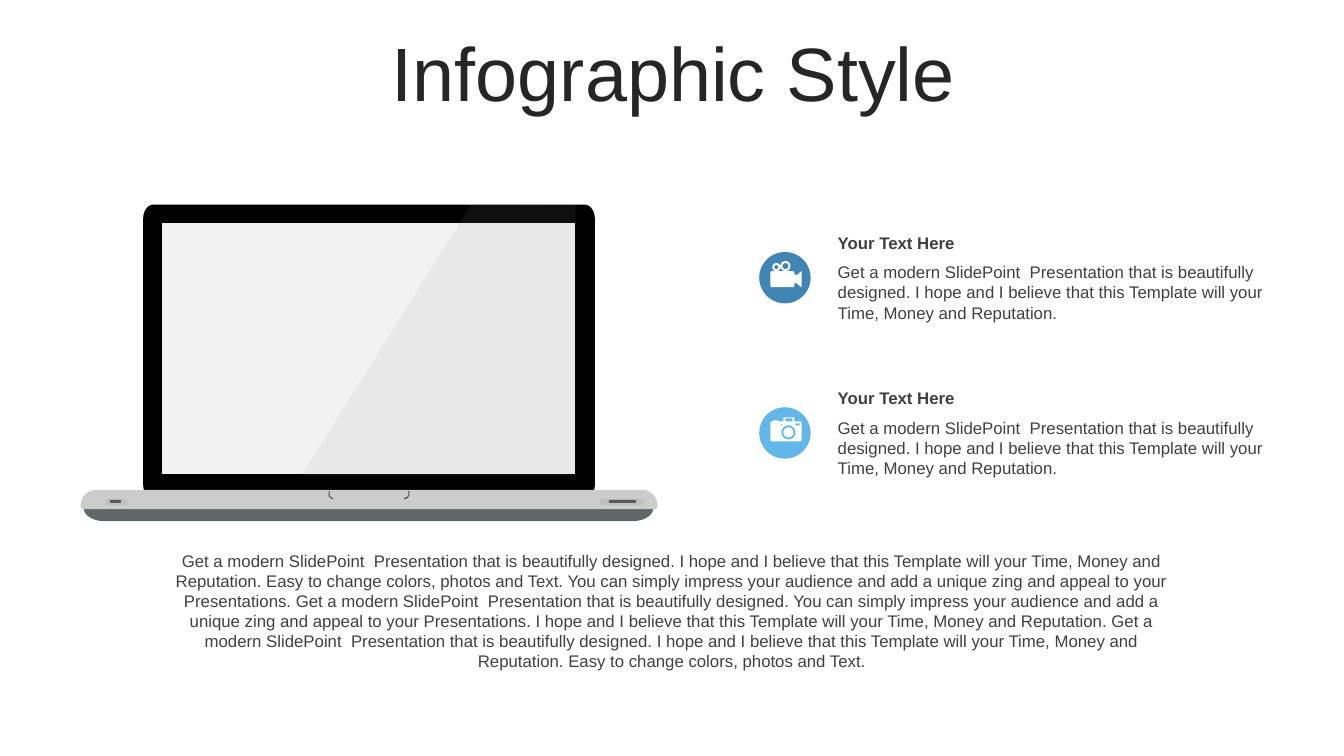
from dataclasses import dataclass
from math import cos, pi, sin

from lxml.etree import SubElement
from pptx import Presentation
from pptx.dml.color import RGBColor
from pptx.enum.shapes import MSO_SHAPE
from pptx.enum.text import MSO_ANCHOR, MSO_AUTO_SIZE, PP_ALIGN
from pptx.oxml.ns import qn
from pptx.util import Inches, Pt

COLORS = {
    "title": "262626", "text": "404040", "white": "FFFFFF",
    "lid": "000000", "screen": "F2F2F2", "glare": "999999",
    "base": "CCCCCC", "underside": "5F6767", "notch": "4D4D4D",
    "port": "BFBFBF", "slot": "595959",
    "blue": "4185B5", "sky": "62B7E8",
}
FONT = "Arial"

Contour = list[tuple[float, float]]
Radii = tuple[float, float]
SQUARE: Radii = (0, 0)


def arc(cx: float, cy: float, rx: float, ry: float, start: float, sweep: float, steps: int) -> Contour:
    """Points along an ellipse, angles in degrees, clockwise on the slide."""
    angles = [(start + sweep * i / steps) * pi / 180 for i in range(steps + 1)]
    return [(cx + rx * cos(a), cy + ry * sin(a)) for a in angles]


def circle(cx: float, cy: float, radius: float) -> Contour:
    return arc(cx, cy, radius, radius, 0, 360, 32)[:-1]


def box(left: float, top: float, right: float, bottom: float,
        upper: Radii = SQUARE, lower: Radii = SQUARE) -> Contour:
    """Rectangle whose upper and lower corner pairs may be rounded."""
    (ux, uy), (lx, ly) = upper, lower
    corners = [
        (left + ux, top + uy, ux, uy, 180), (right - ux, top + uy, ux, uy, 270),
        (right - lx, bottom - ly, lx, ly, 0), (left + lx, bottom - ly, lx, ly, 90),
    ]
    points: Contour = []
    for cx, cy, rx, ry, start in corners:
        points += arc(cx, cy, rx, ry, start, 90, 8) if rx else [(cx, cy)]
    return points


@dataclass
class Outline:
    color: str
    contours: list[Contour]
    opacity: int = 100


@dataclass
class Preset:
    kind: MSO_SHAPE
    left: float
    top: float
    width: float
    height: float
    color: str


@dataclass
class Label:
    text: str
    left: float
    top: float
    width: float
    height: float
    size: int = 12
    color: str = "text"
    bold: bool = False
    align: PP_ALIGN = PP_ALIGN.LEFT
    anchor: MSO_ANCHOR = MSO_ANCHOR.TOP
    line_spacing: float = 1.0


def paint(sp, color: str) -> None:
    sp.shadow.inherit = False
    sp.fill.solid()
    sp.fill.fore_color.rgb = RGBColor.from_string(COLORS[color])
    sp.line.fill.background()


def add_outline(s, outline: Outline) -> None:
    builder = None
    for contour in outline.contours:
        first, *rest = [(Inches(x), Inches(y)) for x, y in contour]
        if builder is None:
            builder = s.shapes.build_freeform(*first, scale=1.0)
        else:
            builder.move_to(*first)
        builder.add_line_segments(rest, close=True)
    sp = builder.convert_to_shape()
    paint(sp, outline.color)
    if outline.opacity < 100:
        rgb = sp.element.spPr.find(qn("a:solidFill")).find(qn("a:srgbClr"))
        SubElement(rgb, qn("a:alpha")).set("val", str(outline.opacity * 1000))


def add_preset(s, preset: Preset) -> None:
    sp = s.shapes.add_shape(preset.kind, Inches(preset.left), Inches(preset.top),
                            Inches(preset.width), Inches(preset.height))
    if preset.kind == MSO_SHAPE.ROUNDED_RECTANGLE:
        sp.adjustments[0] = 0.28
    paint(sp, preset.color)


def add_label(s, label: Label) -> None:
    sp = s.shapes.add_textbox(Inches(label.left), Inches(label.top),
                              Inches(label.width), Inches(label.height))
    tf = sp.text_frame
    tf.word_wrap = True
    tf.auto_size = MSO_AUTO_SIZE.NONE
    tf.vertical_anchor = label.anchor
    p = tf.paragraphs[0]
    p.alignment = label.align
    p.line_spacing = label.line_spacing
    r = p.add_run()
    r.text = label.text
    r.font.name = FONT
    r.font.size = Pt(label.size)
    r.font.bold = label.bold
    r.font.color.rgb = RGBColor.from_string(COLORS[label.color])


LAPTOP = [
    Outline("underside", [box(0.83, 5.0, 6.48, 5.17, lower=(0.2, 0.13))]),
    Outline("lid", [box(1.42, 2.03, 5.9, 4.94, (0.1, 0.14), (0.1, 0.13))]),
    Outline("screen", [box(1.61, 2.21, 5.7, 4.7)]),
    Outline("base", [box(0.8, 4.86, 6.52, 5.05, (0.15, 0.15), (0.03, 0.02))]),
    Outline("notch", [
        [(3.26, 4.87), (3.27, 4.87), (3.27, 4.92), (3.31, 4.95), (3.29, 4.95), (3.26, 4.92)],
        [(4.05, 4.87), (4.06, 4.87), (4.06, 4.92), (4.03, 4.95), (4.0, 4.95), (4.05, 4.92)],
    ]),
]
PORTS = [Preset(MSO_SHAPE.ROUNDED_RECTANGLE, *place) for place in (
    (1.05, 4.95, 0.21, 0.06, "port"), (1.09, 4.96, 0.11, 0.03, "slot"),
    (5.95, 4.95, 0.44, 0.06, "port"), (6.04, 4.96, 0.27, 0.03, "slot"),
)]
GLARE = Outline("glare", [[(4.68, 2.02), (5.71, 2.03), (5.71, 4.72), (2.99, 4.72)]], 10)

CAMCORDER = Outline("white", [
    box(7.64, 2.69, 7.88, 2.85, (0.02, 0.02), (0.02, 0.02)),
    [(7.88, 2.72), (7.9, 2.73), (7.95, 2.69), (7.95, 2.85), (7.9, 2.81), (7.88, 2.81)],
    circle(7.79, 2.64, 0.05), circle(7.79, 2.64, 0.03),
    circle(7.7, 2.65, 0.04), circle(7.7, 2.65, 0.02),
])
CAMERA = Outline("white", [
    box(7.64, 4.18, 7.95, 4.38, (0.02, 0.02), (0.02, 0.02)),
    box(7.77, 4.14, 7.88, 4.18, (0.01, 0.01)), box(7.79, 4.15, 7.86, 4.18),
    box(7.67, 4.17, 7.72, 4.18),
    box(7.74, 4.21, 7.76, 4.22), box(7.89, 4.2, 7.93, 4.22),
    circle(7.82, 4.29, 0.07), circle(7.82, 4.29, 0.05),
])

INTRO = "Get a modern SlidePoint  Presentation that is beautifully designed. "
HOPE = "I hope and I believe that this Template will your Time, Money and Reputation."
EASY = " Easy to change colors, photos and Text."
IMPRESS = ("You can simply impress your audience and add a unique zing and appeal "
           "to your Presentations. ")
SUMMARY = INTRO + HOPE + EASY + " " + IMPRESS + INTRO + IMPRESS + HOPE + " " + INTRO + HOPE + EASY


def add_feature(s, top: float, color: str, icon: Outline) -> None:
    add_preset(s, Preset(MSO_SHAPE.OVAL, 7.53, top + 0.24, 0.51, 0.51, color))
    add_label(s, Label(INTRO + HOPE, 8.21, top + 0.29, 4.48, 0.71))
    add_label(s, Label("Your Text Here", 8.21, top, 4.48, 0.3,
                       bold=True, anchor=MSO_ANCHOR.MIDDLE))
    add_outline(s, icon)


def main() -> None:
    prs = Presentation()
    prs.slide_width, prs.slide_height = Inches(13.33), Inches(7.5)
    s = prs.slides.add_slide(prs.slide_layouts[6])
    for part in LAPTOP:
        add_outline(s, part)
    for port in PORTS:
        add_preset(s, port)
    add_outline(s, GLARE)
    add_label(s, Label("Infographic Style", 0.35, 0.37, 12.66, 0.79, 54, "title",
                       align=PP_ALIGN.CENTER, anchor=MSO_ANCHOR.MIDDLE, line_spacing=0.9))
    add_label(s, Label(SUMMARY, 1.59, 5.41, 10.15, 1.31, align=PP_ALIGN.CENTER))
    add_feature(s, 2.26, "blue", CAMCORDER)
    add_feature(s, 3.8, "sky", CAMERA)
    prs.save("out.pptx")


if __name__ == "__main__":
    main()
